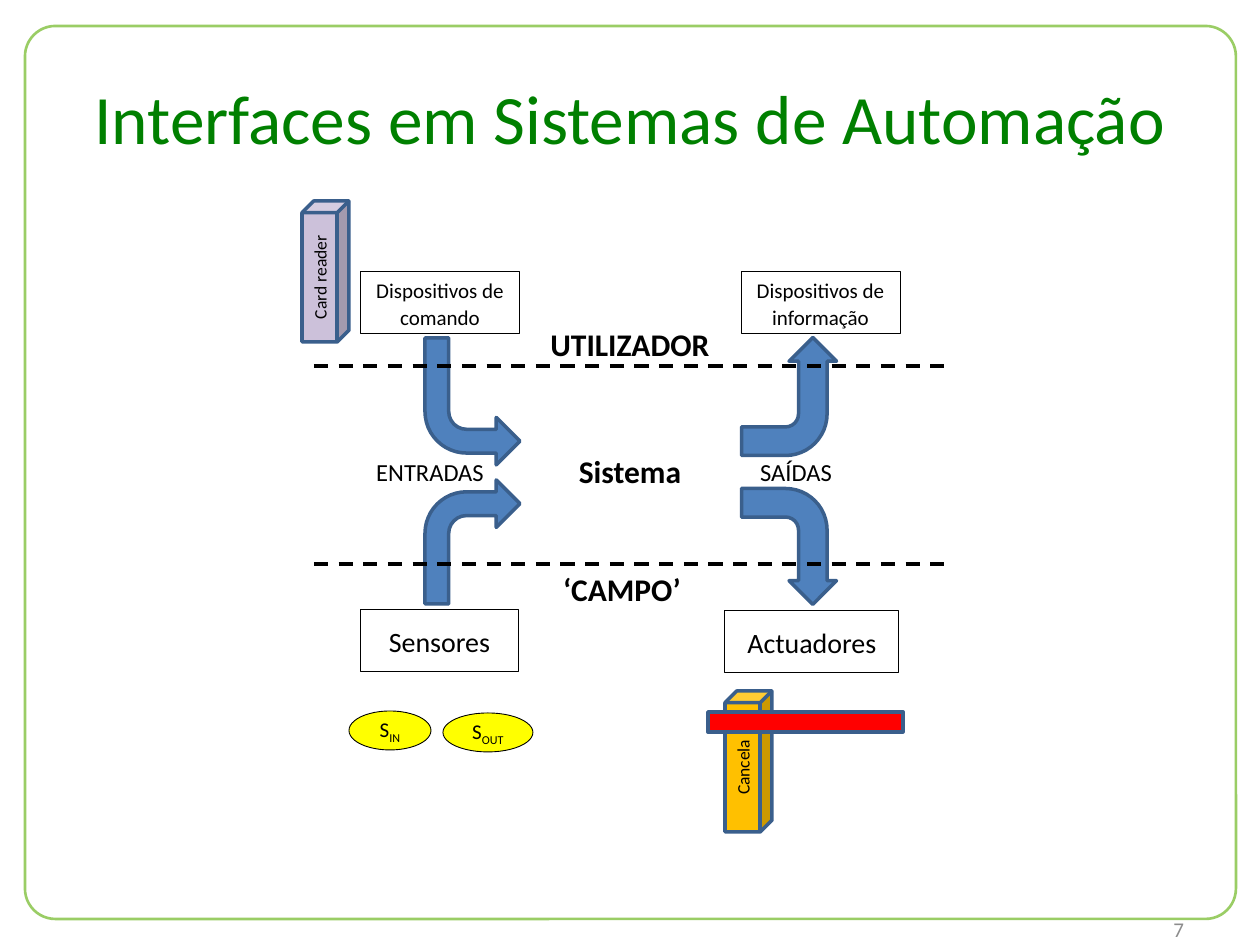
from pptx import Presentation
from pptx.dml.color import RGBColor
from pptx.enum.dml import MSO_LINE
from pptx.enum.shapes import MSO_CONNECTOR, MSO_SHAPE
from pptx.enum.text import MSO_ANCHOR, PP_ALIGN
from pptx.oxml.ns import qn
from pptx.util import Pt
from lxml import etree

RECTANGLE, ROUNDED = MSO_SHAPE.RECTANGLE, MSO_SHAPE.ROUNDED_RECTANGLE
BENT_ARROW, CUBE, OVAL = MSO_SHAPE.BENT_ARROW, MSO_SHAPE.CUBE, MSO_SHAPE.OVAL
STRAIGHT, DASH = MSO_CONNECTOR.STRAIGHT, MSO_LINE.DASH
CENTER, RIGHT, MIDDLE = PP_ALIGN.CENTER, PP_ALIGN.RIGHT, MSO_ANCHOR.MIDDLE
PX_PER_INCH = 126
FONT = "Calibri"
BLACK, WHITE, BLUE, NAVY = "000000", "FFFFFF", "4F81BD", "3A5F8C"


def px(length):
    """Turn pixels into EMU."""
    return round(length * 914400 / PX_PER_INCH)


def color(value):
    """Turn a hex string into a colour."""
    return RGBColor.from_string(value)


def within(box, left, top, width, height):
    """Place a rectangle relative to the corner of a box."""
    return box[0] + left, box[1] + top, width, height


def write(shape, text, size, ink=BLACK, bold=False, align=CENTER, spacing=1.0, subscript=""):
    """Write one paragraph, with an optional subscript, into a shape."""
    frame = shape.text_frame
    frame.word_wrap = True
    frame.vertical_anchor = MIDDLE
    frame.margin_left = frame.margin_top = frame.margin_right = frame.margin_bottom = 0
    paragraph = frame.paragraphs[0]
    paragraph.alignment = align
    paragraph.line_spacing = spacing
    paragraph.add_run().text = text
    if subscript:
        run = paragraph.add_run()
        run.text = subscript
        run.font._element.set("baseline", "-25000")
    font = paragraph.font
    font.name, font.size, font.bold = FONT, Pt(size), bold
    font.color.rgb = color(ink)


def add_text(shapes, box, text, size, **style):
    """Add a text box."""
    write(shapes.add_textbox(*map(px, box)), text, size, **style)


def add_shape(shapes, kind, box, fill, line, weight):
    """Add a preset shape with its fill and outline."""
    shape = shapes.add_shape(kind, *map(px, box))
    shape.shadow.inherit = False
    if fill:
        shape.fill.solid()
        shape.fill.fore_color.rgb = color(fill)
    else:
        shape.fill.background()
    shape.line.color.rgb = color(line)
    shape.line.width = Pt(weight)
    return shape


def add_arrow(shapes, box, rotation=0, flipped=False, adjustments=()):
    """Add a bent arrow, turned and mirrored as asked."""
    arrow = add_shape(shapes, BENT_ARROW, box, BLUE, NAVY, 2)
    arrow.rotation = rotation
    for index, value in enumerate(adjustments):
        arrow.adjustments[index] = value
    if flipped:
        arrow._element.spPr.find(qn("a:xfrm")).set("flipV", "1")


def add_divider(shapes, left, top, width):
    """Add a dashed horizontal line."""
    line = shapes.add_connector(STRAIGHT, px(left), px(top), px(left + width), px(top))
    line.line.color.rgb = color(BLACK)
    line.line.width = Pt(2)
    line.line.dash_style = DASH
    etree.SubElement(line._element.spPr, qn("a:effectLst"))


def add_post(shapes, box, text, fill):
    """Add an upright block with its label running upwards."""
    post = add_shape(shapes, CUBE, box, fill, NAVY, 2)
    write(post, text, 10)
    post.text_frame._txBody.bodyPr.set("vert", "vert270")


def add_page(shapes, box):
    """Add the frame, title and page number."""
    frame = add_shape(shapes, ROUNDED, within(box, 25, 26, 1211, 893), None, "9ACD65", 1.5)
    frame.adjustments[0] = 0.034
    add_text(shapes, within(box, 63, 38, 1134, 158),
             "Interfaces em Sistemas de Automação", 39.6, ink="008000")
    add_text(shapes, within(box, 903, 919, 281, 20), "7", 12, ink="8C8C8C", align=RIGHT)


def add_diagram(shapes, box):
    """Add the interfaces between user, system and field."""
    add_arrow(shapes, within(box, 111, 208, 95, 124))
    add_arrow(shapes, within(box, 111, 66, 95, 127), flipped=True)
    wide = (0.301, 0.25, 0.25, 0.438)
    add_arrow(shapes, within(box, 417, 227, 116, 95), rotation=90, adjustments=wide)
    add_arrow(shapes, within(box, 416, 77, 118, 95), rotation=270, flipped=True,
              adjustments=wide)
    devices = [
        ((46, 0, 160, 62), "Dispositivos de comando", 12),
        ((427, 0, 159, 62), "Dispositivos de informação", 12),
        ((46, 337, 159, 63), "Sensores", 16),
        ((411, 338, 174, 63), "Actuadores", 16),
    ]
    for place, text, size in devices:
        device = add_shape(shapes, RECTANGLE, within(box, *place), WHITE, BLACK, 0.5)
        write(device, text, size, spacing=1.07)
    labels = [
        ((45, 159, 142, 79), "ENTRADAS", 14, False),
        ((411, 159, 142, 79), "SAÍDAS", 14, False),
        ((221, 47, 190, 48), "UTILIZADOR", 18, True),
        ((221, 292, 174, 48), "‘CAMPO’", 18, True),
        ((221, 167, 190, 62), "Sistema", 18, True),
    ]
    for place, text, size, bold in labels:
        add_text(shapes, within(box, *place), text, size, bold=bold, spacing=1.05)
    for top in (94, 292):
        add_divider(shapes, box[0], box[1] + top, box[2])


def add_sensors(shapes, box):
    """Add the entry and exit sensors."""
    for place, name in (((0, 0, 82, 39), "IN"), ((94, 2, 90, 39), "OUT")):
        sensor = add_shape(shapes, OVAL, within(box, *place), "FFFF00", BLACK, 0.5)
        write(sensor, "S", 12, subscript=name)


def add_barrier(shapes, box):
    """Add the gate post with its red bar."""
    add_post(shapes, within(box, 17, 0, 47, 141), "Cancela", "FFC000")
    add_shape(shapes, RECTANGLE, within(box, 0, 21, box[2], 20), "FF0000", NAVY, 2)


def main():
    """Build and save the slide."""
    presentation = Presentation()
    presentation.slide_width, presentation.slide_height = px(1260), px(945)
    shapes = presentation.slides.add_slide(presentation.slide_layouts[6]).shapes
    add_page(shapes, (0, 0, 1260, 945))
    add_diagram(shapes.add_group_shape().shapes, (314, 272, 632, 401))
    add_post(shapes, (302, 201, 47, 141), "Card reader", "CCC1DA")
    add_sensors(shapes.add_group_shape().shapes, (349, 711, 184, 41))
    add_barrier(shapes.add_group_shape().shapes, (708, 691, 195, 141))
    presentation.save("out.pptx")


if __name__ == "__main__":
    main()
